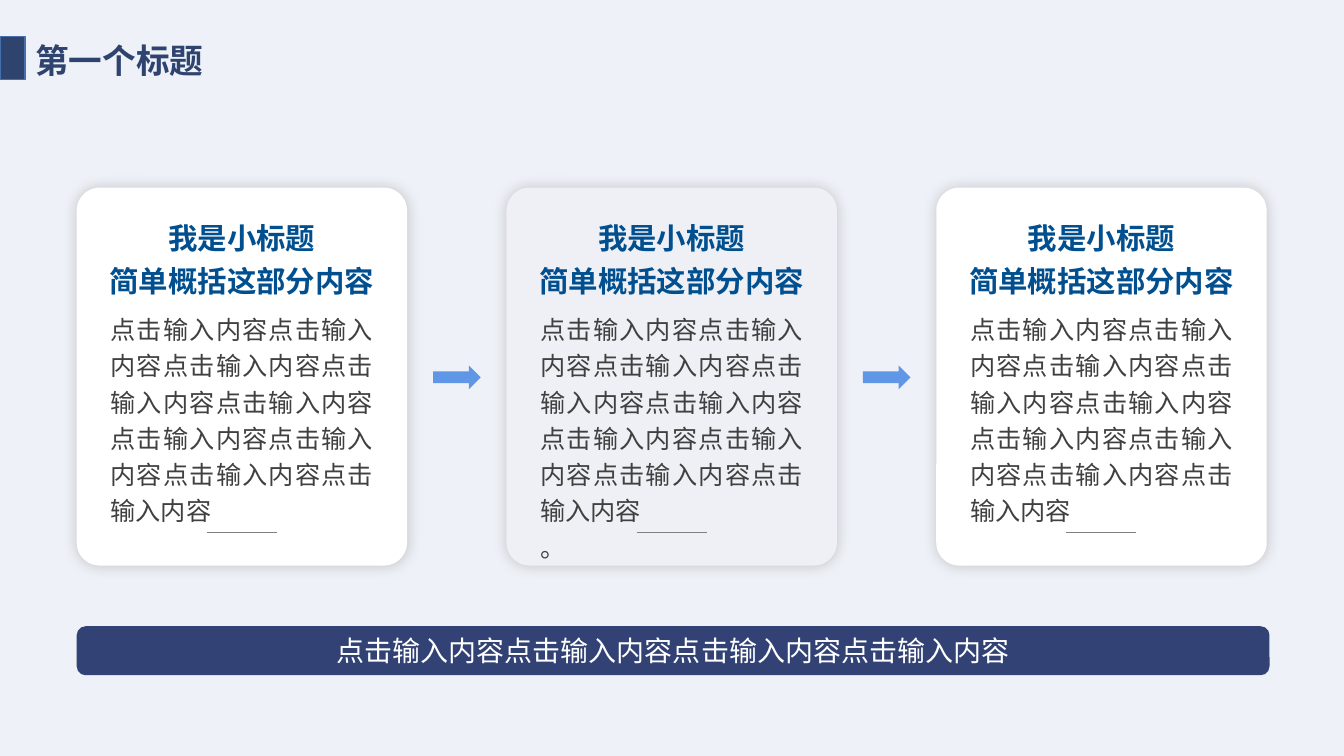
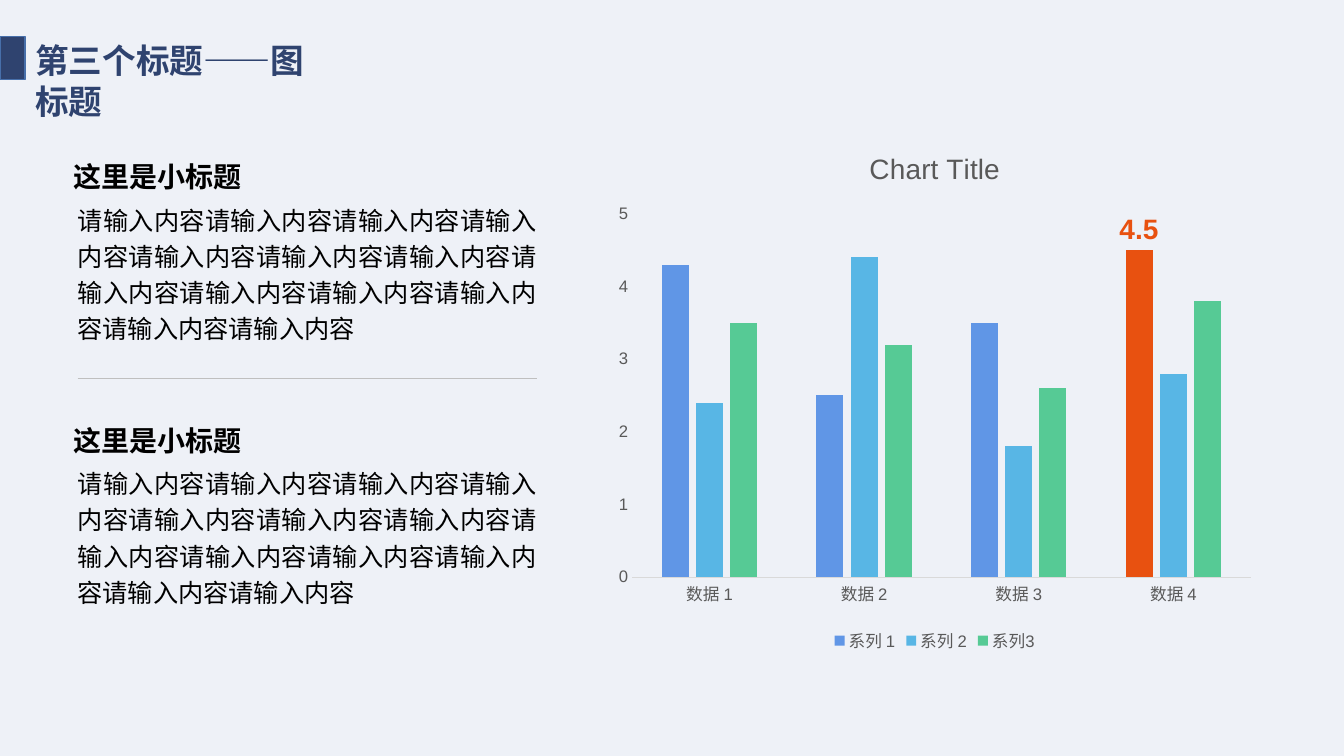
from dataclasses import dataclass

import pptx
import pptx.chart.data
import pptx.dml.color
import pptx.enum.chart
import pptx.enum.shapes
import pptx.enum.text
import pptx.oxml
import pptx.oxml.ns
import pptx.util

Pt = pptx.util.Pt
RGB = pptx.dml.color.RGBColor.from_string
ALIGN = pptx.enum.text.PP_ALIGN
ANCHOR = pptx.enum.text.MSO_ANCHOR
SHAPE = pptx.enum.shapes.MSO_SHAPE


@dataclass(frozen=True)
class Theme:
    background: str = "EEF1F7"
    navy: str = "2F436F"
    tab_edge: str = "476FAA"
    band: str = "324274"
    heading: str = "014F8E"
    body: str = "404040"
    black: str = "000000"
    white: str = "FFFFFF"
    muted_card: str = "EFF0F5"
    shadow: str = "808080"
    divider: str = "BFBFBF"
    axis_text: str = "595959"
    axis_line: str = "D9D9D9"
    highlight: str = "E85110"
    series: tuple = ("6096E6", "58B6E5", "56CA95")
    cjk: str = "Noto Sans CJK SC"
    latin: str = "Arial"
    title_size: float = 24
    card_heading_size: float = 21
    large_size: float = 20
    body_size: float = 18
    axis_size: float = 11.9


class Deck:
    """Holds the theme, the presentation and the slide being filled."""

    def __init__(self, theme):
        self.theme = theme
        self.prs = pptx.Presentation()
        self.prs.slide_width, self.prs.slide_height = Pt(960), Pt(540)
        backdrop = self.prs.slide_master.background.fill
        backdrop.solid()
        backdrop.fore_color.rgb = RGB(theme.background)
        self.slide = None

    def start_slide(self, title, height):
        theme = self.theme
        self.slide = self.prs.slides.add_slide(self.prs.slide_layouts[5])
        heading = self.slide.shapes.title
        heading.left, heading.top = Pt(18), Pt(25.2)
        heading.width, heading.height = Pt(224), Pt(height)
        self.fill_text(heading.text_frame, [title], theme.title_size, theme.navy,
                       bold=True)
        self.shape(SHAPE.RECTANGLE, 0, 26, 18, 31, theme.navy, edge=theme.tab_edge)

    def fill_text(self, frame, lines, size, color, font=None, bold=False,
                  align=ALIGN.LEFT, spacing=1.0, anchor=ANCHOR.TOP):
        frame.word_wrap = True
        frame.auto_size = pptx.enum.text.MSO_AUTO_SIZE.NONE
        frame.vertical_anchor = anchor
        for index, line in enumerate(lines):
            paragraph = frame.add_paragraph() if index else frame.paragraphs[0]
            paragraph.alignment = align
            paragraph.line_spacing = spacing
            run = paragraph.add_run()
            run.text = line
            run.font.name = font or self.theme.cjk
            run.font.size = Pt(size)
            run.font.bold = bold
            run.font.color.rgb = RGB(color)
            east_asian = pptx.oxml.parse_xml(
                f'<a:ea {pptx.oxml.ns.nsdecls("a")} typeface="{self.theme.cjk}"/>')
            run.font._element.append(east_asian)

    def text(self, left, top, width, height, lines, size, color,
             insets=(7.2, 7.2), **style):
        frame = self.slide.shapes.add_textbox(
            Pt(left), Pt(top), Pt(width), Pt(height)).text_frame
        frame.margin_left, frame.margin_right = map(Pt, insets)
        self.fill_text(frame, lines, size, color, **style)

    def shape(self, kind, left, top, width, height, fill, edge=None, corner=None):
        shape = self.slide.shapes.add_shape(
            kind, Pt(left), Pt(top), Pt(width), Pt(height))
        shape.shadow.inherit = False
        shape.fill.solid()
        shape.fill.fore_color.rgb = RGB(fill)
        if edge:
            shape.line.color.rgb = RGB(edge)
            shape.line.width = Pt(1)
        else:
            shape.line.fill.background()
        if corner is not None:
            shape.adjustments[0] = corner
        return shape

    def card(self, left, top, width, height, fill):
        card = self.shape(SHAPE.ROUNDED_RECTANGLE, left, top, width, height, fill,
                          corner=0.07)
        effects = card._element.spPr.find(pptx.oxml.ns.qn("a:effectLst"))
        effects.append(pptx.oxml.parse_xml(
            f'<a:outerShdw {pptx.oxml.ns.nsdecls("a")} blurRad="{Pt(10)}" dist="0">'
            f'<a:srgbClr val="{self.theme.shadow}"><a:alpha val="40000"/></a:srgbClr>'
            '</a:outerShdw>'))

    def band(self, left, top, width, height, line):
        band = self.shape(SHAPE.ROUNDED_RECTANGLE, left, top, width, height,
                          self.theme.band, corner=0.18)
        self.fill_text(band.text_frame, [line], self.theme.large_size,
                       self.theme.white, font=self.theme.latin,
                       align=ALIGN.CENTER, anchor=ANCHOR.MIDDLE)

    def rule(self, left, top, width, color):
        rule = self.slide.shapes.add_connector(
            pptx.enum.shapes.MSO_CONNECTOR.STRAIGHT,
            Pt(left), Pt(top), Pt(left + width), Pt(top))
        rule.line.color.rgb = RGB(color)
        rule.line.width = Pt(0.5)
        rule._element.spPr.append(pptx.oxml.parse_xml(
            f'<a:effectLst {pptx.oxml.ns.nsdecls("a")}/>'))

    def style_font(self, font, size, color, bold=False):
        font.name = self.theme.latin
        font.size = Pt(size)
        font.bold = bold
        font.color.rgb = RGB(color)

    def column_chart(self, left, top, width, height, title, categories, series,
                     highlight):
        """Draw clustered columns; highlight is a (series, point) index pair."""
        theme = self.theme
        data = pptx.chart.data.CategoryChartData()
        data.categories = categories
        for name, values in series.items():
            data.add_series(name, values)
        chart = self.slide.shapes.add_chart(
            pptx.enum.chart.XL_CHART_TYPE.COLUMN_CLUSTERED,
            Pt(left), Pt(top), Pt(width), Pt(height), data).chart
        self.style_font(chart.font, theme.axis_size, theme.axis_text)

        caption = chart.chart_title.text_frame.paragraphs[0].add_run()
        caption.text = title
        self.style_font(caption.font, theme.large_size, theme.axis_text)

        chart.has_legend = True
        chart.legend.position = pptx.enum.chart.XL_LEGEND_POSITION.BOTTOM
        chart.legend.include_in_layout = False
        self.style_font(chart.legend.font, theme.axis_size, theme.axis_text)

        for axis in (chart.category_axis, chart.value_axis):
            axis.has_major_gridlines = False
            axis.major_tick_mark = pptx.enum.chart.XL_TICK_MARK.NONE
            self.style_font(axis.tick_labels.font, theme.axis_size, theme.axis_text)
        chart.category_axis.format.line.color.rgb = RGB(theme.axis_line)
        chart.category_axis.format.line.width = Pt(0.75)
        chart.value_axis.format.line.fill.background()
        chart.value_axis.minimum_scale = 0
        chart.value_axis.maximum_scale = 5
        chart.value_axis.major_unit = 1

        plot = chart.plots[0]
        plot.gap_width, plot.overlap = 219, -27
        plot.vary_by_categories = False
        for columns, color in zip(plot.series, theme.series):
            columns.invert_if_negative = False
            columns.format.fill.solid()
            columns.format.fill.fore_color.rgb = RGB(color)

        series_index, point_index = highlight
        highlighted = plot.series[series_index]
        point = highlighted.points[point_index]
        point.format.fill.solid()
        point.format.fill.fore_color.rgb = RGB(theme.highlight)
        self.style_font(point.data_label.font, theme.large_size, theme.highlight,
                        bold=True)
        point.data_label.position = pptx.enum.chart.XL_LABEL_POSITION.OUTSIDE_END
        highlighted.data_labels.show_value = False


def build_process(deck):
    theme = deck.theme
    deck.start_slide("第一个标题", 36)
    card_left, step = 54.8, 307
    description = "点击输入内容" * 9
    cards = [(theme.white, []), (theme.muted_card, ["。"]), (theme.white, [])]
    for index, (fill, extra) in enumerate(cards):
        left = card_left + index * step
        deck.card(left, 134, 236, 270, fill)
        deck.text(left + 11.5, 149, 213, 66, ["我是小标题", "简单概括这部分内容"],
                  theme.card_heading_size, theme.heading, bold=True,
                  align=ALIGN.CENTER, spacing=1.2)
        deck.text(left + 17, 216.7, 202, 190, [description] + extra,
                  theme.body_size, theme.body, align=ALIGN.JUSTIFY, spacing=1.2)
        deck.rule(left + 93, 380, 50, theme.shadow)
        if index < len(cards) - 1:
            deck.shape(SHAPE.RIGHT_ARROW, left + 254.6, 261, 34, 17, theme.series[0])
    deck.band(card_left, 447.3, 852, 35, "点击输入内容" * 4)


def build_chart(deck):
    theme = deck.theme
    deck.start_slide("第三个标题——图标题", 89)
    deck.column_chart(
        432.7, 93, 470, 376.5, "Chart Title",
        [f"数据 {number}" for number in range(1, 5)],
        {"系列 1": (4.3, 2.5, 3.5, 4.5),
         "系列 2": (2.4, 4.4, 1.8, 2.8),
         "系列3": (3.5, 3.2, 2.6, 3.8)},
        highlight=(0, 3))
    for top in (103.3, 291.5):
        deck.text(52.5, top, 158, 36, ["这里是小标题"], theme.large_size, theme.black,
                  insets=(0, 7.2), bold=True, spacing=1.3)
        deck.text(55.4, top + 35.2, 328.3, 112, ["请输入内容" * 13],
                  theme.body_size, theme.black, insets=(0, 0), font=theme.latin,
                  align=ALIGN.JUSTIFY, spacing=1.2)
    deck.rule(55.4, 270, 328.3, theme.divider)


def main():
    deck = Deck(Theme())
    build_process(deck)
    build_chart(deck)
    deck.prs.save("out.pptx")


if __name__ == "__main__":
    main()
